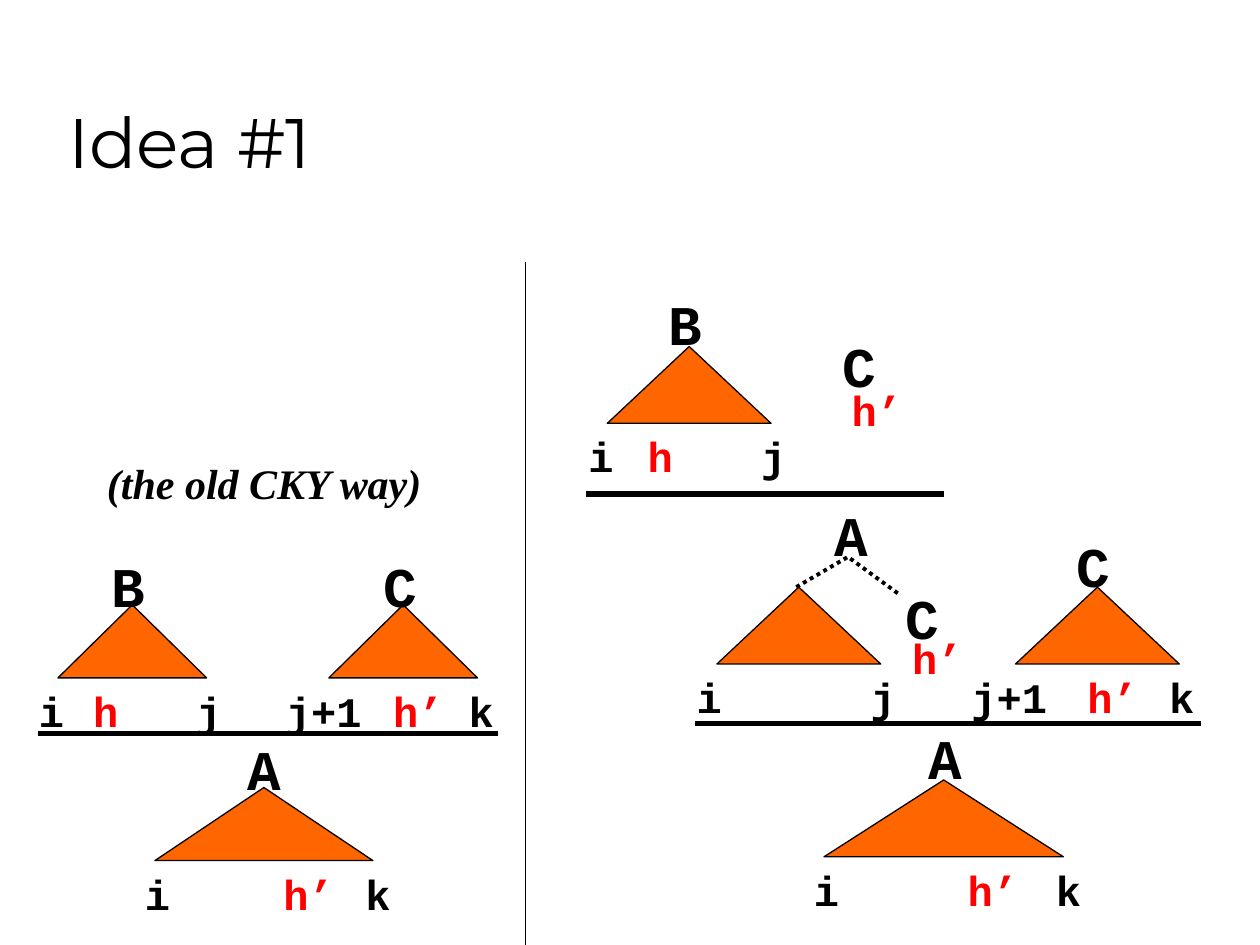
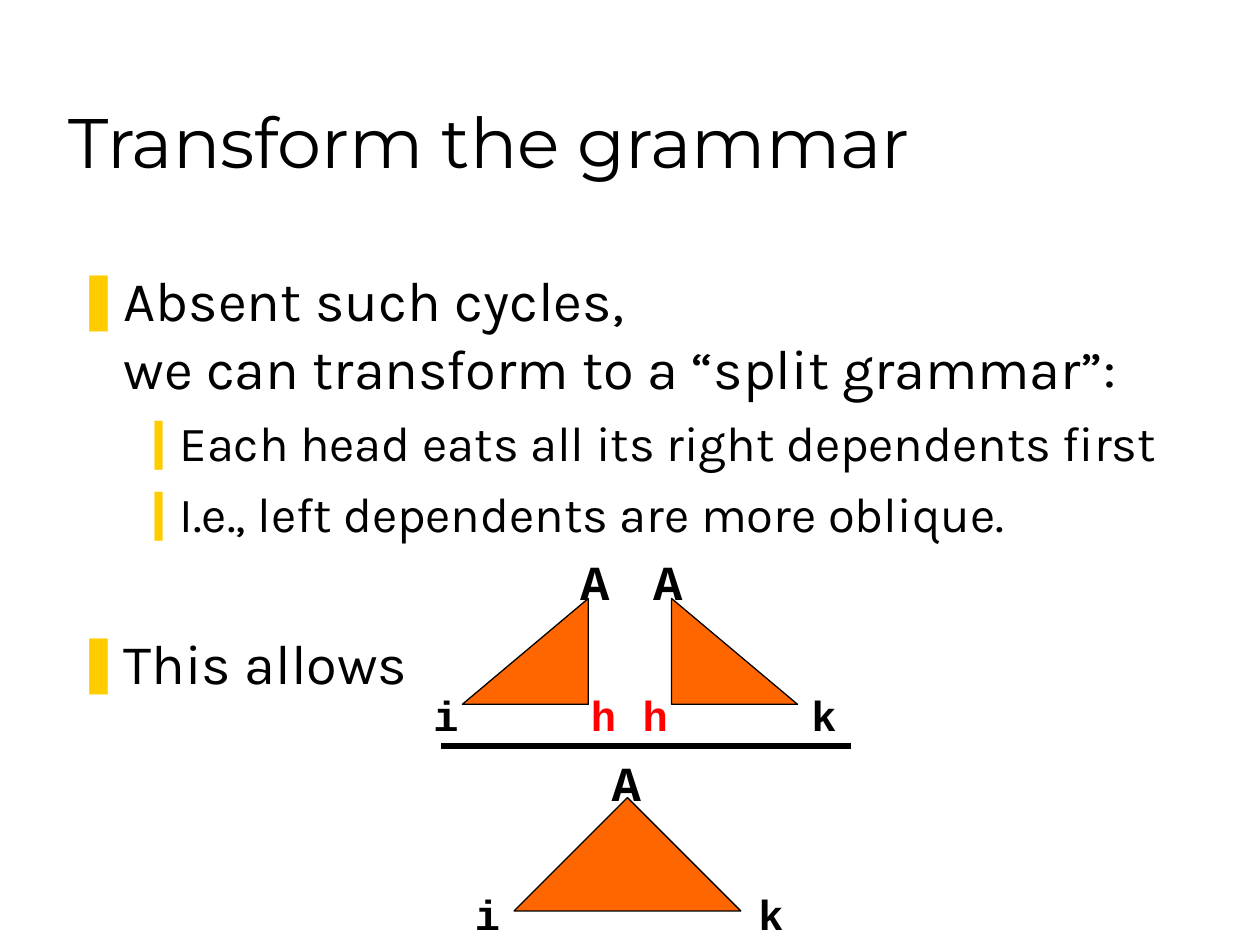
from lxml.etree import SubElement
from pptx import Presentation
from pptx.dml.color import RGBColor
from pptx.enum.dml import MSO_LINE
from pptx.enum.shapes import MSO_CONNECTOR, MSO_SHAPE
from pptx.enum.text import MSO_ANCHOR, MSO_AUTO_SIZE, PP_ALIGN
from pptx.oxml.ns import qn
from pptx.util import Inches, Pt

BLACK, RED, ORANGE, YELLOW = "000000", "FF0000", "FF6600", "FFCC00"
TITLE_FONT, BODY_FONT = "Montserrat", "Karla"
SYMBOL_FONT, CAPTION_FONT = "Courier New", "Times New Roman"
TITLE_ONLY, TITLE_AND_BODY = 5, 1
TITLE_BOX = (0.44, 0.25, 8.5, 1.25)
BODY_BOX = (0.5, 2.06, 8.94, 4.56)
FOOT_SIZE, FOOT_GAP = 24, 0.01

# Slide 1: each group has triangles (box, feet as text and centre),
# labels (text, size, centre, top), rules (left, right, y) and branches
IDEA_TITLE = "Idea #1"
CAPTION = ("(the old CKY way)", (0.75, 3.58, 2.71, 0.5))
DIVIDER = (4.17, 2.08, 4.17, 7.5)
IDEA_GROUPS = [
    {  # Old way: B and C combine into A in a single step
        "triangles": [
            ((0.46, 4.8, 1.18, 0.58), [("i", 0.41), ("h", 0.84), ("j", 1.66)]),
            ((2.61, 4.8, 1.18, 0.58), [("j+1", 2.57), ("h’", 3.32), ("k", 3.82)]),
            ((1.23, 6.25, 1.73, 0.58), [("i", 1.25), ("h’", 2.45), ("k", 3)]),
        ],
        "labels": [("B", 32, 1.02, 4.33), ("C", 32, 3.18, 4.33), ("A", 32, 2.1, 5.78)],
        "rules": [(0.3, 3.95, 5.82)],
    },
    {  # New way: B on its own
        "triangles": [((4.82, 2.75, 1.3, 0.61), [("i", 4.77), ("h", 5.24), ("j", 6.14)])],
        "labels": [("B", 32, 5.44, 2.25)],
    },
    {  # Predicted C with its head
        "labels": [("C", 32, 6.82, 2.58), ("h’", 24, 6.96, 3)],
    },
    {  # A still waiting for C
        "triangles": [((5.69, 4.66, 1.3, 0.61), [("i", 5.63), ("j", 7.01)])],
        "labels": [("A", 32, 6.76, 3.92), ("C", 32, 7.32, 4.58), ("h’", 24, 7.44, 4.97)],
        "rules": [(4.65, 7.49, 3.92)],
        "branches": [(6.32, 4.66), (6.73, 4.42), (7.14, 4.72)],
    },
    {  # Completed C
        "triangles": [((8.06, 4.66, 1.3, 0.61), [("j+1", 8.01), ("h’", 8.83), ("k", 9.38)])],
        "labels": [("C", 32, 8.68, 4.17)],
    },
    {  # Completed A
        "triangles": [((6.54, 6.19, 1.9, 0.61), [("i", 6.56), ("h’", 7.88), ("k", 8.48)])],
        "labels": [("A", 32, 7.5, 5.69)],
        "rules": [(5.52, 9.53, 5.74)],
    },
]

# Slide 2: list items as level, space before and lines
SPLIT_TITLE = "Transform the grammar"
SPLIT_ITEMS = [
    (0, 8, ["Absent such cycles, ", "we can transform to a “split grammar”:"]),
    (1, 7, ["Each head eats all its right dependents first"]),
    (1, 7, ["I.e., left dependents are more oblique."]),
    (0, 49, ["This allows"]),
]
# Per level: size, bullet, left margin, hanging indent
LEVELS = [(32, "❚", 0.38, 0.38), (28, "❙", 0.81, 0.31)]
SPLIT_HALVES = [((3.67, 4.75, 1, 0.84), True), ((5.33, 4.75, 1, 0.84), False)]
SPLIT_GROUP = {
    "triangles": [((4.08, 6.33, 1.8, 0.9), [])],
    "labels": [
        ("A", 28, 4.72, 4.33), ("A", 28, 5.3, 4.33), ("A", 28, 4.97, 5.92),
        ("i", 24, 3.54, 5.42), ("h", 24, 4.79, 5.42),
        ("h", 24, 5.2, 5.42), ("k", 24, 6.54, 5.42),
        ("i", 24, 3.87, 7), ("k", 24, 6.12, 7),
    ],
    "rules": [(3.5, 6.75, 5.92)],
}


def color(value):
    return RGBColor.from_string(value)


def inches(values):
    return [Inches(value) for value in values]


def add_run(paragraph, text, font, size, fill=BLACK, bold=False, italic=False):
    run = paragraph.add_run()
    run.text = text
    run.font.name, run.font.size = font, Pt(size)
    run.font.bold, run.font.italic = bold, italic
    run.font.color.rgb = color(fill)


def add_text(shapes, box):
    """Add an unwrapped text box and return its paragraph."""
    frame = shapes.add_textbox(*inches(box)).text_frame
    frame.word_wrap = False
    frame.auto_size = MSO_AUTO_SIZE.SHAPE_TO_FIT_TEXT
    return frame.paragraphs[0]


def add_label(shapes, text, size, center, top):
    width, height = 0.2 + len(text) * size / 120, 0.1 + size / 60
    paragraph = add_text(shapes, (center - width / 2, top, width, height))
    paragraph.alignment = PP_ALIGN.CENTER
    fill = RED if text.startswith("h") else BLACK
    add_run(paragraph, text, SYMBOL_FONT, size, fill, bold=True)


def add_triangle(shapes, box, kind=MSO_SHAPE.ISOSCELES_TRIANGLE, flipped=False):
    shape = shapes.add_shape(kind, *inches(box))
    shape.shadow.inherit = False
    shape.fill.solid()
    shape.fill.fore_color.rgb = color(ORANGE)
    shape.line.color.rgb = color(BLACK)
    shape.line.width = Pt(0.75)
    if flipped:
        shape._element.spPr.find(qn("a:xfrm")).set("flipH", "1")


def add_line(shapes, ends, width):
    connector = shapes.add_connector(MSO_CONNECTOR.STRAIGHT, *inches(ends))
    connector.line.color.rgb = color(BLACK)
    connector.line.width = Pt(width)
    SubElement(connector._element.spPr, qn("a:effectLst"))


def add_branches(shapes, points):
    start, *others = [inches(point) for point in points]
    builder = shapes.build_freeform(*start)
    builder.add_line_segments(others, close=False)
    shape = builder.convert_to_shape()
    shape.shadow.inherit = False
    shape.fill.background()
    shape.line.color.rgb = color(BLACK)
    shape.line.width = Pt(2.25)
    shape.line.dash_style = MSO_LINE.ROUND_DOT


def add_derivation(slide, parts):
    """Draw one group of triangles, rules, branches and symbols."""
    shapes = slide.shapes.add_group_shape().shapes
    for box, feet in parts.get("triangles", []):
        add_triangle(shapes, box)
        for text, center in feet:
            add_label(shapes, text, FOOT_SIZE, center, box[1] + box[3] + FOOT_GAP)
    for left, right, y in parts.get("rules", []):
        add_line(shapes, (left, y, right, y), 3)
    if "branches" in parts:
        add_branches(shapes, parts["branches"])
    for label in parts["labels"]:
        add_label(shapes, *label)
    return shapes


def prepare_placeholder(placeholder, box, anchor):
    placeholder.left, placeholder.top, placeholder.width, placeholder.height = inches(box)
    frame = placeholder.text_frame
    frame.auto_size = MSO_AUTO_SIZE.NONE
    frame.word_wrap = True
    frame.vertical_anchor = anchor
    return frame


def add_titled_slide(presentation, layout, title):
    slide = presentation.slides.add_slide(presentation.slide_layouts[layout])
    frame = prepare_placeholder(slide.shapes.title, TITLE_BOX, MSO_ANCHOR.BOTTOM)
    paragraph = frame.paragraphs[0]
    paragraph.alignment = PP_ALIGN.LEFT
    add_run(paragraph, title, TITLE_FONT, 40)
    return slide


def set_bullet(paragraph, character, margin, hanging):
    properties = paragraph._p.get_or_add_pPr()
    properties.set("marL", str(Inches(margin)))
    properties.set("indent", str(-Inches(hanging)))
    bullet_color = SubElement(properties, qn("a:buClr"))
    SubElement(bullet_color, qn("a:srgbClr"), val=YELLOW)
    SubElement(properties, qn("a:buChar"), char=character)


def fill_list(frame, items):
    for index, (level, space, lines) in enumerate(items):
        paragraph = frame.add_paragraph() if index else frame.paragraphs[0]
        size, character, margin, hanging = LEVELS[level]
        paragraph.level = level
        paragraph.space_before = Pt(space)
        set_bullet(paragraph, character, margin, hanging)
        for number, line in enumerate(lines):
            if number:
                paragraph.add_line_break()
            add_run(paragraph, line, BODY_FONT, size)


def build_idea_slide(presentation):
    slide = add_titled_slide(presentation, TITLE_ONLY, IDEA_TITLE)
    for parts in IDEA_GROUPS:
        add_derivation(slide, parts)
    add_line(slide.shapes, DIVIDER, 0.75)
    text, box = CAPTION
    add_run(add_text(slide.shapes, box), text, CAPTION_FONT, 24, bold=True, italic=True)


def build_split_slide(presentation):
    slide = add_titled_slide(presentation, TITLE_AND_BODY, SPLIT_TITLE)
    frame = prepare_placeholder(slide.placeholders[1], BODY_BOX, MSO_ANCHOR.TOP)
    fill_list(frame, SPLIT_ITEMS)
    # Half triangles lie under the symbols
    halves = slide.shapes.add_group_shape().shapes
    for box, flipped in SPLIT_HALVES:
        add_triangle(halves, box, MSO_SHAPE.RIGHT_TRIANGLE, flipped)
    add_derivation(slide, SPLIT_GROUP)


def main():
    presentation = Presentation()
    presentation.slide_width, presentation.slide_height = Inches(10), Inches(7.5)
    build_idea_slide(presentation)
    build_split_slide(presentation)
    presentation.save("out.pptx")


if __name__ == "__main__":
    main()
